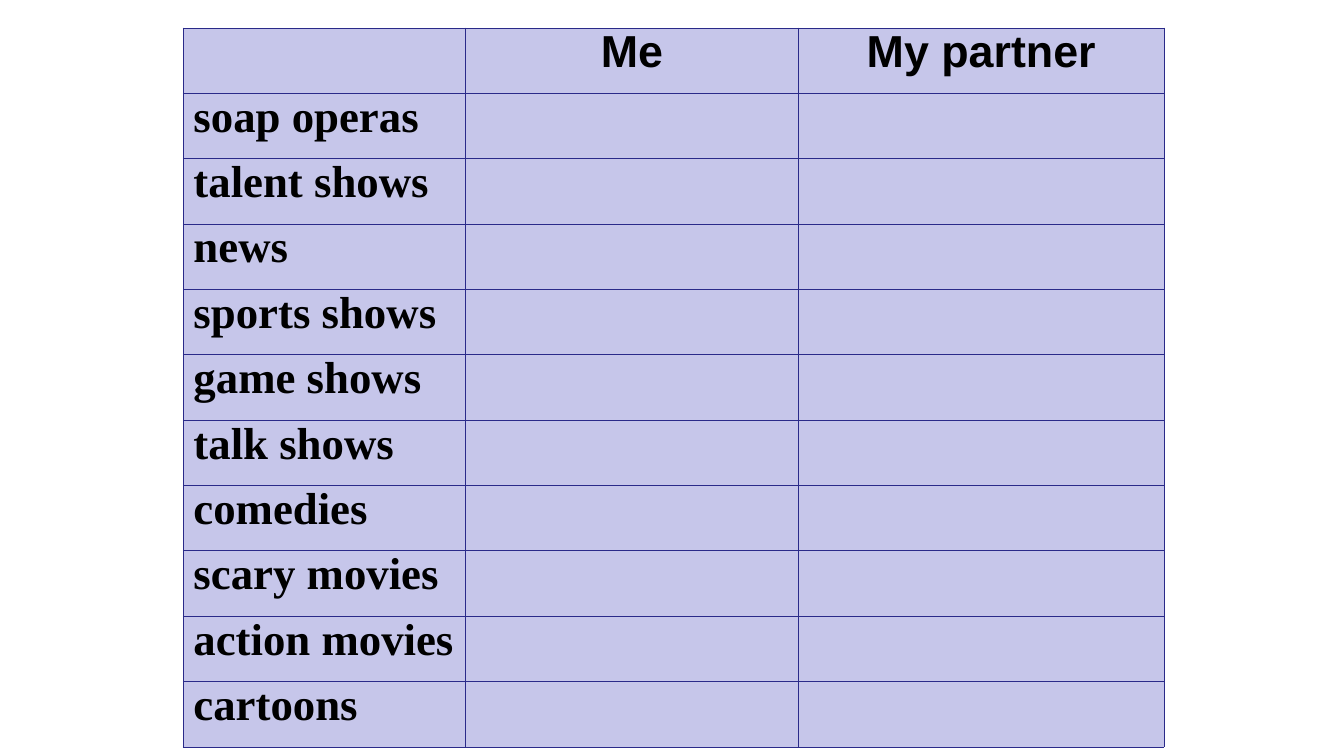
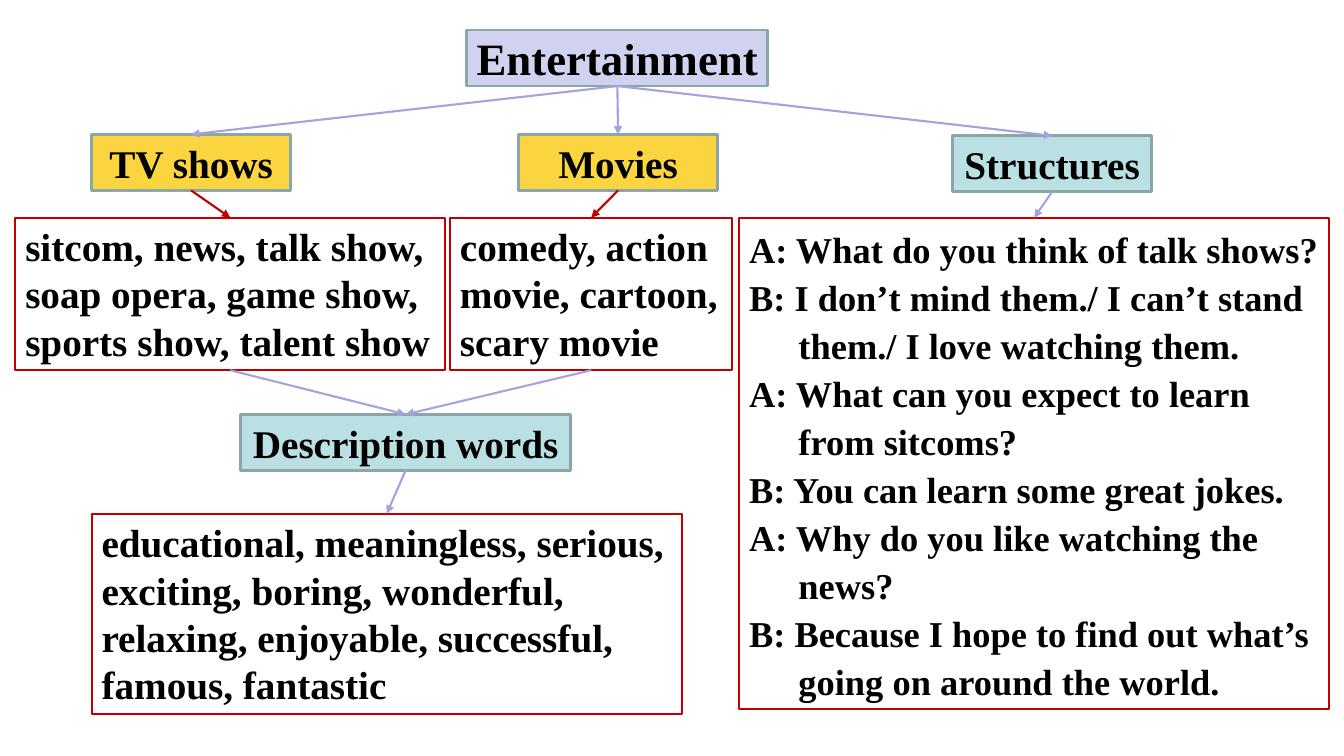
"""Build a TV and movie survey table and an entertainment word map."""
from lxml import etree
from pptx import Presentation
from pptx import util as u
from pptx.dml.color import RGBColor
from pptx.enum import shapes, text
from pptx.oxml.ns import qn

COLORS = {"ink": "000000", "cell": "C6C6EA", "grid": "2A2A89", "lilac": "D1D1F0",
          "yellow": "FBD53F", "teal": "BBE0E3", "edge": "8AA6A8",
          "red": "C00000", "arrow": "A3A3E0"}
SERIF = "Times New Roman"


def write(para, words, size, name=SERIF, **layout):
    span = para.add_run()
    span.text = words
    for key, value in {"size": u.Pt(size), "name": name, "bold": True}.items():
        setattr(span.font, key, value)
    span.font.color.rgb = RGBColor.from_string(COLORS["ink"])
    for key, value in layout.items():
        setattr(para, key, value)


def outline(shape, color, width):
    shape.line.color.rgb = RGBColor.from_string(COLORS[color])
    shape.line.width = u.Pt(width)


deck = Presentation()
deck.slide_width, deck.slide_height = u.Pt(960), u.Pt(540)
blank = deck.slide_layouts[6]

page = deck.slides.add_slide(blank)
rows = [("", "Me", "My partner")] + [(genre, "", "") for genre in (
    "soap operas", "talent shows", "news", "sports shows", "game shows",
    "talk shows", "comedies", "scary movies", "action movies", "cartoons")]
widths = (201.5, 238, 261)
row_height = 46.7
table = page.shapes.add_table(len(rows), len(widths), u.Pt(131), u.Pt(20), u.Pt(sum(widths)),
                              u.Pt(row_height * len(rows))).table
table.first_row = table.horz_banding = False
for column, width in zip(table.columns, widths):
    column.width = u.Pt(width)
for row_index, row in enumerate(rows):
    table.rows[row_index].height = u.Pt(row_height)
    for column_index, words in enumerate(row):
        cell = table.cell(row_index, column_index)
        properties = cell._tc.get_or_add_tcPr()
        for side in ("a:lnL", "a:lnR", "a:lnT", "a:lnB"):
            border = etree.SubElement(properties, qn(side), w=str(u.Pt(0.75)))
            fill = etree.SubElement(border, qn("a:solidFill"))
            etree.SubElement(fill, qn("a:srgbClr"), val=COLORS["grid"])
        cell.fill.solid()
        cell.fill.fore_color.rgb = RGBColor.from_string(COLORS["cell"])
        if words:
            header = row_index == 0
            write(cell.text_frame.paragraphs[0], words, 32, "Arial" if header else SERIF,
                  alignment=text.PP_ALIGN.CENTER if header else text.PP_ALIGN.LEFT,
                  line_spacing=0.85)

page = deck.slides.add_slide(blank)
boxes = {}
for words, left, top, width, color, size in (
        ("Entertainment", 333.5, 21.5, 215, "lilac", 32),
        ("TV shows", 65.5, 96, 142, "yellow", 28),
        ("Movies", 370.5, 96, 142, "yellow", 28),
        ("Structures", 680.5, 97, 142, "teal", 28),
        ("Description words", 172, 296, 235.5, "teal", 28)):
    box = page.shapes.add_shape(shapes.MSO_SHAPE.RECTANGLE,
                                u.Pt(left), u.Pt(top), u.Pt(width), u.Pt(40))
    box.shadow.inherit = False
    box.fill.solid()
    box.fill.fore_color.rgb = RGBColor.from_string(COLORS[color])
    outline(box, "edge", 2)
    box.text_frame.word_wrap = False
    box.text_frame.vertical_anchor = text.MSO_ANCHOR.MIDDLE
    write(box.text_frame.paragraphs[0], words, size, alignment=text.PP_ALIGN.CENTER)
    boxes[words] = box

dialogue = ("A: What do you think of talk shows?",
            "B: I don’t mind them./ I can’t stand them./ I love watching them.",
            "A: What can you expect to learn from sitcoms?",
            "B: You can learn some great jokes.",
            "A: Why do you like watching the news?",
            "B: Because I hope to find out what’s going on around the world.")
for name, left, top, width, height, size, spacing, hanging, lines in (
        ("show list", 11, 155.5, 307, 109, 28, 1, 0,
         ["sitcom, news, talk show, soap opera, game show, sports show, talent show"]),
        ("movie list", 321.5, 155.5, 201.5, 109, 28, 1, 0,
         ["comedy, action movie, cartoon, scary movie"]),
        ("word list", 65.5, 367, 421.5, 143, 28, 1, 0,
         ["educational, meaningless, serious, exciting, boring, wonderful, "
          "relaxing, enjoyable, successful, famous, fantastic"]),
        ("dialogue", 528, 155.5, 421.5, 351, 26, 1.1, 35.3, dialogue)):
    box = page.shapes.add_textbox(u.Pt(left), u.Pt(top), u.Pt(width), u.Pt(height))
    outline(box, "red", 1.5)
    frame = box.text_frame
    frame.word_wrap = True
    frame.auto_size = text.MSO_AUTO_SIZE.SHAPE_TO_FIT_TEXT
    for index, line in enumerate(lines):
        para = frame.add_paragraph() if index else frame.paragraphs[0]
        if hanging:
            indent = para._p.get_or_add_pPr()
            indent.set("marL", str(u.Pt(hanging)))
            indent.set("indent", str(-u.Pt(hanging)))
        write(para, line, size, line_spacing=spacing)
    boxes[name] = box

for start, end, color in (
        ("TV shows", "show list", "red"),
        ("Movies", "movie list", "red"),
        ("Entertainment", "TV shows", "arrow"),
        ("Entertainment", "Movies", "arrow"),
        ("Entertainment", "Structures", "arrow"),
        ("show list", "Description words", "arrow"),
        ("movie list", "Description words", "arrow"),
        ("Description words", "word list", "arrow"),
        ("Structures", "dialogue", "arrow")):
    arrow = page.shapes.add_connector(shapes.MSO_CONNECTOR.STRAIGHT, 0, 0, 0, 0)
    arrow.begin_connect(boxes[start], 2)
    arrow.end_connect(boxes[end], 0)
    outline(arrow, color, 1.5)
    etree.SubElement(arrow.line._get_or_add_ln(), qn("a:tailEnd"), type="triangle")
    etree.SubElement(arrow._element.spPr, qn("a:effectLst"))

deck.save("out.pptx")
